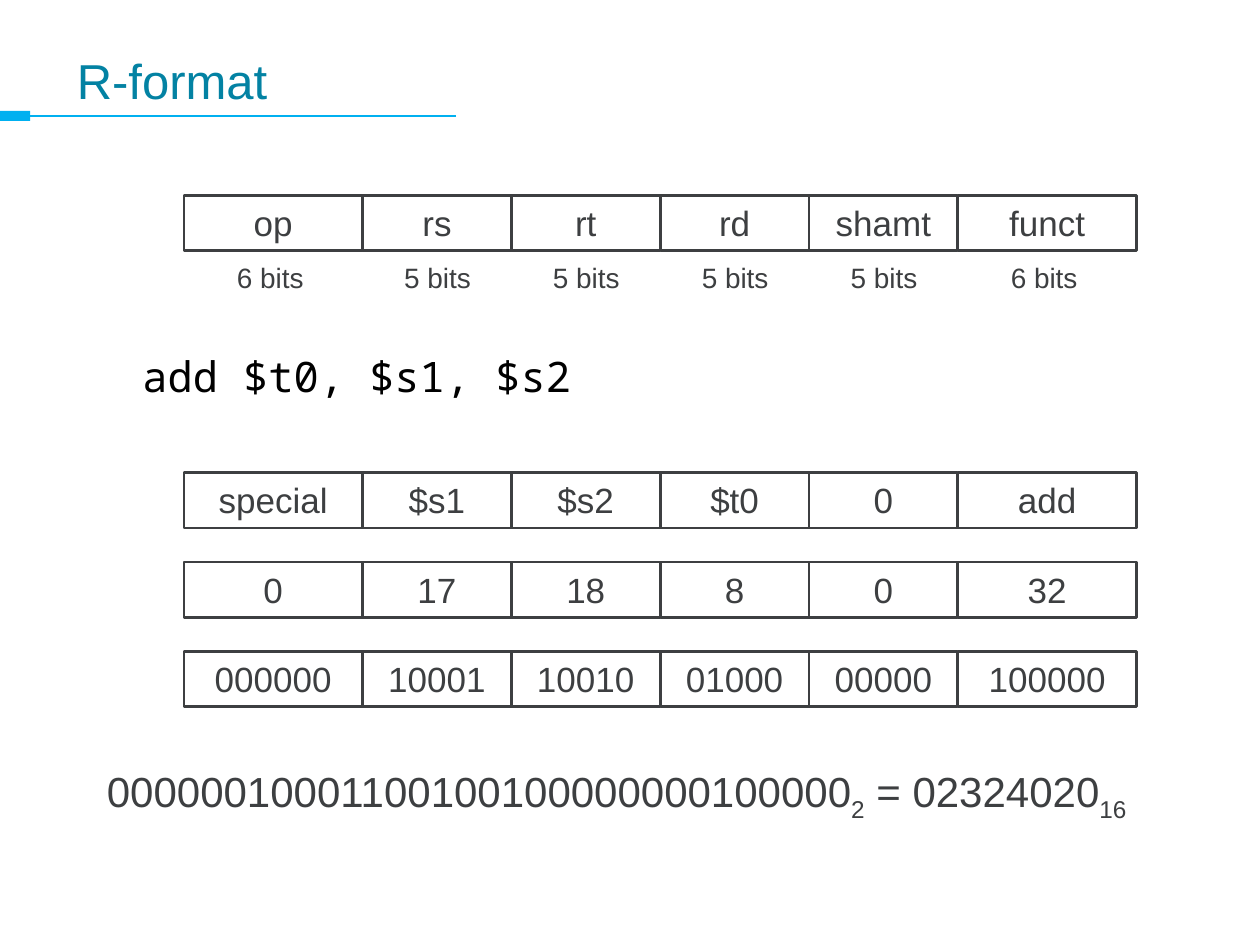
from dataclasses import dataclass
from itertools import accumulate

from lxml.etree import SubElement
from pptx import Presentation
from pptx.dml.color import RGBColor
from pptx.enum.shapes import MSO_CONNECTOR, MSO_SHAPE
from pptx.enum.text import MSO_ANCHOR, MSO_AUTO_SIZE, PP_ALIGN
from pptx.oxml.ns import qn
from pptx.util import Inches, Pt

ACCENT = RGBColor(0x00, 0xB0, 0xF0)
TEAL = RGBColor(0x03, 0x82, 0xA3)
INK = RGBColor(0x3D, 0x3F, 0x41)
BLACK = RGBColor(0x00, 0x00, 0x00)

WORD_LEFT, WORD_WIDTH, WORD_BITS = 1.46, 7.56, 32
BIT_WIDTH = WORD_WIDTH / WORD_BITS
CELL_HEIGHT = 0.44
HEADER_TOP, ENCODING_TOP, ENCODING_PITCH = 1.55, 3.75, 0.71
LABEL_TOP, LABEL_WIDTH, LABEL_HEIGHT = 2.02, 0.73, 0.37
LABEL_INSET = {5: 0.23, 6: 0.32}


@dataclass(frozen=True)
class Field:
    name: str
    bits: int
    encodings: tuple[str, str, str]


FIELDS = [
    Field("op", 6, ("special", "0", "000000")),
    Field("rs", 5, ("$s1", "17", "10001")),
    Field("rt", 5, ("$s2", "18", "10010")),
    Field("rd", 5, ("$t0", "8", "01000")),
    Field("shamt", 5, ("0", "0", "00000")),
    Field("funct", 6, ("add", "32", "100000")),
]
STARTS = list(accumulate((field.bits for field in FIELDS[:-1]), initial=0))


def box(left: float, top: float, width: float, height: float) -> tuple:
    return Inches(left), Inches(top), Inches(width), Inches(height)


def place(holder, area: tuple) -> None:
    holder.left, holder.top, holder.width, holder.height = area


def style(paragraph, size: int, color: RGBColor = INK, name: str = "Arial",
          align: PP_ALIGN = PP_ALIGN.LEFT) -> None:
    paragraph.alignment = align
    paragraph.space_before = Pt(0)
    for run in paragraph.runs:
        run.font.size = Pt(size)
        run.font.name = name
        run.font.color.rgb = color


def draw_cell(shapes, start: int, bits: int, top: float, content: str) -> None:
    cell = shapes.add_shape(MSO_SHAPE.RECTANGLE, *box(
        WORD_LEFT + start * BIT_WIDTH, top, bits * BIT_WIDTH, CELL_HEIGHT))
    cell.shadow.inherit = False
    cell.fill.background()
    cell.line.color.rgb = INK
    cell.line.width = Pt(1.5)
    cell.text_frame.text = content
    cell.text_frame.vertical_anchor = MSO_ANCHOR.TOP
    style(cell.text_frame.paragraphs[0], 20, align=PP_ALIGN.CENTER)


def draw_word(shapes, top: float, contents: list[str]) -> None:
    for field, start, content in zip(FIELDS, STARTS, contents):
        draw_cell(shapes, start, field.bits, top, content)


def draw_bit_label(shapes, start: int, bits: int) -> None:
    left = WORD_LEFT + start * BIT_WIDTH + LABEL_INSET[bits]
    label = shapes.add_textbox(*box(left, LABEL_TOP, LABEL_WIDTH, LABEL_HEIGHT))
    label.text_frame.word_wrap = False
    label.text_frame.text = f"{bits} bits"
    style(label.text_frame.paragraphs[0], 16, align=PP_ALIGN.CENTER)


def draw_title(slide) -> None:
    title = slide.shapes.title
    place(title, box(0.51, 0.17, 9, 0.75))
    title.text_frame.text = "R-format"
    title.text_frame.vertical_anchor = MSO_ANCHOR.BOTTOM
    title.text_frame.auto_size = MSO_AUTO_SIZE.NONE
    style(title.text_frame.paragraphs[0], 28, TEAL)

    tab = slide.shapes.add_shape(MSO_SHAPE.RECTANGLE, *box(0, 0.88, 0.24, 0.08))
    tab.shadow.inherit = False
    tab.fill.solid()
    tab.fill.fore_color.rgb = ACCENT
    tab.line.fill.background()

    rule = slide.shapes.add_connector(
        MSO_CONNECTOR.STRAIGHT, Inches(3.62), Inches(0.92), Inches(0.24), Inches(0.92))
    rule.end_connect(tab, 3)
    rule.line.color.rgb = ACCENT
    rule.line.width = Pt(0.75)
    SubElement(rule._element.spPr, qn("a:effectLst"))


def draw_instruction(slide) -> None:
    instruction = slide.placeholders[1]
    place(instruction, box(0.75, 2.73, 9.04, 0.71))
    instruction.text_frame.text = "add $t0, $s1, $s2"
    instruction.text_frame.auto_size = MSO_AUTO_SIZE.NONE
    paragraph = instruction.text_frame.paragraphs[0]
    properties = paragraph._p.get_or_add_pPr()
    properties.set("marL", str(Inches(0.28)))
    properties.set("indent", "0")
    SubElement(properties, qn("a:buNone"))
    style(paragraph, 24, BLACK, "Noto Sans Mono")


def draw_machine_code(slide) -> None:
    code = slide.shapes.add_textbox(*box(0.75, 6.03, 8.9, 0.55))
    code.text_frame.word_wrap = True
    paragraph = code.text_frame.paragraphs[0]
    for number, base in (("00000010001100100100000000100000", "2"),
                         (" = 02324020", "16")):
        paragraph.add_run().text = number
        subscript = paragraph.add_run()
        subscript.text = base
        subscript._r.get_or_add_rPr().set("baseline", "-25000")
    style(paragraph, 24)


def main() -> None:
    deck = Presentation()
    deck.slide_width, deck.slide_height = Inches(10), Inches(7.5)
    slide = deck.slides.add_slide(deck.slide_layouts[1])
    draw_title(slide)
    draw_instruction(slide)
    for row, contents in enumerate(zip(*(field.encodings for field in FIELDS))):
        draw_word(slide.shapes, ENCODING_TOP + row * ENCODING_PITCH, contents)
    draw_machine_code(slide)
    layout = slide.shapes.add_group_shape().shapes
    draw_word(layout, HEADER_TOP, [field.name for field in FIELDS])
    for field, start in zip(FIELDS, STARTS):
        draw_bit_label(layout, start, field.bits)
    deck.save("out.pptx")


if __name__ == "__main__":
    main()
